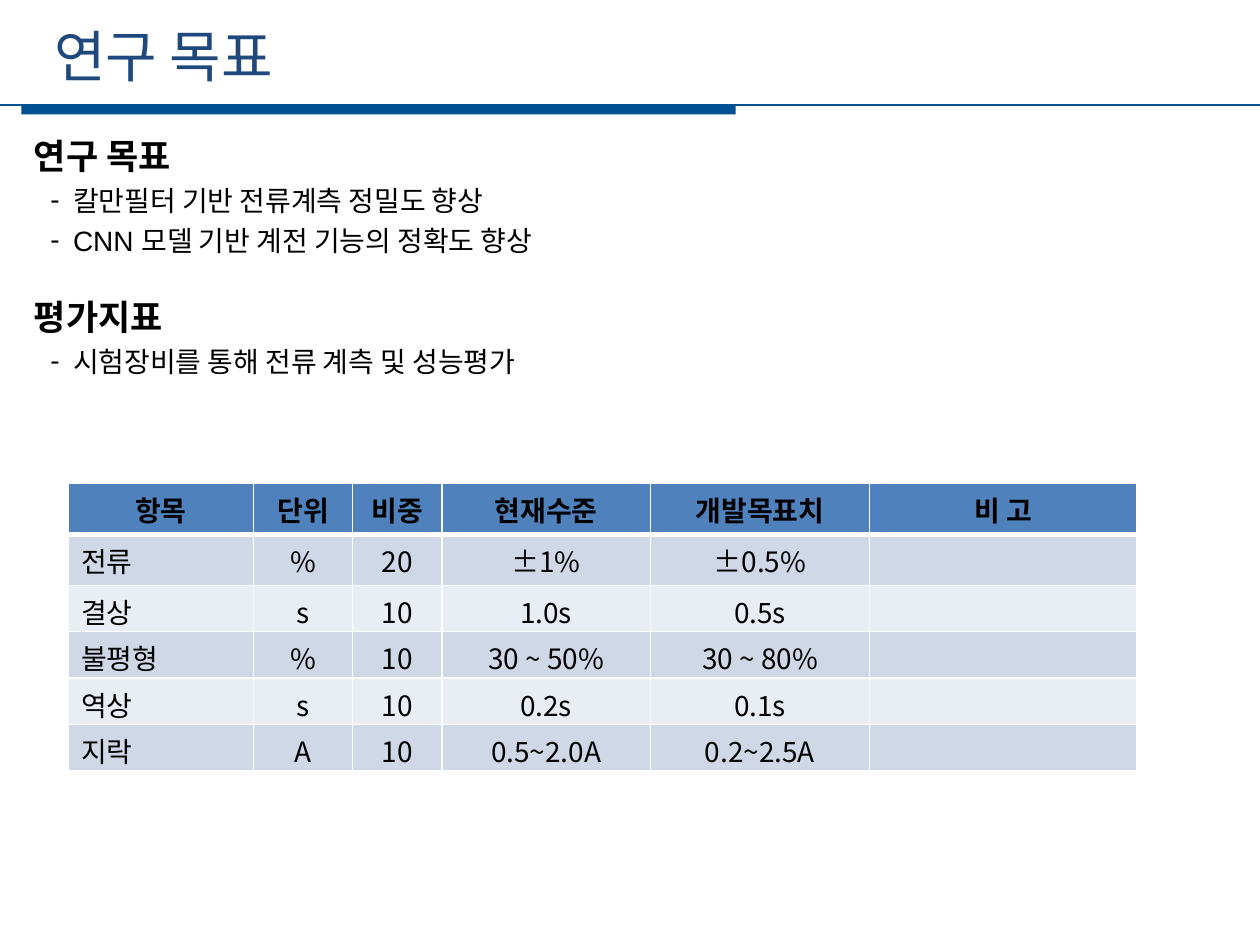
from dataclasses import dataclass

from lxml import etree
from pptx import Presentation
from pptx import util as u
from pptx.dml.color import RGBColor
from pptx.enum import shapes, text
from pptx.oxml import ns


@dataclass(frozen=True)
class Theme:
    title: str = "1F497D"
    rule: str = "005094"
    ink: str = "000000"
    header: str = "4F81BD"
    bands: tuple = ("D0D8E8", "E9EDF4")
    border: str = "FFFFFF"
    latin: str = "Arial"
    korean: str = "Noto Sans CJK KR"
    title_size: int = 32
    heading_size: int = 20
    text_size: int = 16
    leading: int = 23


class SlideBuilder:
    def __init__(self, slide, theme):
        self.slide = slide
        self.theme = theme

    def format_runs(self, p, size, color, font, bold=False):
        for r in p.runs:
            r.font.size = u.Pt(size)
            r.font.bold = bold
            r.font.name = font
            r.font.color.rgb = RGBColor.from_string(color)
            ea = etree.SubElement(r._r.get_or_add_rPr(), ns.qn("a:ea"))
            ea.set("typeface", self.theme.korean)

    def place(self, sp, left, top, width, height):
        sp.left, sp.top = u.Cm(left), u.Cm(top)
        sp.width, sp.height = u.Cm(width), u.Cm(height)
        tf = sp.text_frame
        tf.word_wrap = True
        tf.auto_size = text.MSO_AUTO_SIZE.NONE
        return tf

    def title(self, words, *box):
        tf = self.place(self.slide.shapes.title, *box)
        tf.margin_top = tf.margin_bottom = 0
        tf.vertical_anchor = text.MSO_ANCHOR.MIDDLE
        tf.text = words
        p = tf.paragraphs[0]
        p.alignment = text.PP_ALIGN.LEFT
        self.format_runs(p, self.theme.title_size, self.theme.title, self.theme.korean)

    def set_bullet(self, p, char=None, margin=0, hanging=0):
        pPr = p._p.get_or_add_pPr()
        pPr.set("marL", str(u.Cm(margin)))
        pPr.set("indent", str(-u.Cm(hanging)))
        if char:
            etree.SubElement(pPr, ns.qn("a:buFont")).set("typeface", self.theme.latin)
            etree.SubElement(pPr, ns.qn("a:buChar")).set("char", char)
        else:
            etree.SubElement(pPr, ns.qn("a:buNone"))

    def sections(self, content, *box):
        t = self.theme
        tf = self.place(self.slide.placeholders[1], *box)
        tf.vertical_anchor = text.MSO_ANCHOR.TOP
        lines = [(line, i == 0) for section in content for i, line in enumerate(section)]
        for n, (line, heading) in enumerate(lines):
            p = tf.add_paragraph() if n else tf.paragraphs[0]
            p.text = line
            p.line_spacing = u.Pt(t.leading)
            p.space_before = u.Pt(t.leading if heading and n else 0)
            if heading:
                self.set_bullet(p)
            else:
                self.set_bullet(p, "-", 0.79, 0.46)
            size = t.heading_size if heading else t.text_size
            self.format_runs(p, size, t.ink, t.latin, heading)

    def bar(self, left, top, width, height):
        sp = self.slide.shapes.add_shape(
            shapes.MSO_SHAPE.RECTANGLE, u.Cm(left), u.Cm(top), u.Cm(width), u.Cm(height))
        sp.shadow.inherit = False
        sp.fill.solid()
        sp.fill.fore_color.rgb = RGBColor.from_string(self.theme.rule)
        sp.line.fill.background()

    def rule(self, left, right, y):
        line = self.slide.shapes.add_connector(
            shapes.MSO_CONNECTOR.STRAIGHT, u.Cm(left), u.Cm(y), u.Cm(right), u.Cm(y))
        line.line.color.rgb = RGBColor.from_string(self.theme.rule)
        line.line.width = u.Pt(1.25)
        etree.SubElement(line._element.spPr, ns.qn("a:effectLst"))

    def set_borders(self, cell, **widths):
        tcPr = cell._tc.get_or_add_tcPr()
        for side in "LRTB":
            ln = etree.SubElement(tcPr, ns.qn(f"a:ln{side}"))
            ln.set("w", str(u.Pt(widths.get(side, 1))))
            fill = etree.SubElement(ln, ns.qn("a:solidFill"))
            etree.SubElement(fill, ns.qn("a:srgbClr")).set("val", self.theme.border)

    def table(self, rows, left, top, widths, heights):
        t = self.theme
        table = self.slide.shapes.add_table(
            len(rows), len(widths), u.Cm(left), u.Cm(top),
            u.Cm(sum(widths)), u.Cm(sum(heights))).table
        for column, width in zip(table.columns, widths):
            column.width = u.Cm(width)
        for i, (row, height) in enumerate(zip(rows, heights)):
            table.rows[i].height = u.Cm(height)
            for j, words in enumerate(row):
                cell = table.cell(i, j)
                cell.margin_top, cell.margin_bottom = u.Cm(0.12), 0
                self.set_borders(cell, T=3 if i == 1 else 1, B=3 if i == 0 else 1)
                cell.fill.solid()
                color = t.bands[(i - 1) % 2] if i else t.header
                cell.fill.fore_color.rgb = RGBColor.from_string(color)
                cell.text = words
                p = cell.text_frame.paragraphs[0]
                centred = i == 0 or j > 0
                p.alignment = text.PP_ALIGN.CENTER if centred else text.PP_ALIGN.LEFT
                self.format_runs(p, t.text_size, t.ink, t.korean, i == 0)


SECTIONS = [
    ["연구 목표", "칼만필터 기반 전류계측 정밀도 향상", "CNN 모델 기반 계전 기능의 정확도 향상"],
    ["평가지표", "시험장비를 통해 전류 계측 및 성능평가"],
]
INDICATORS = [
    ["항목", "단위", "비중", "현재수준", "개발목표치", "비 고"],
    ["전류", "%", "20", "±1%", "±0.5%", ""],
    ["결상", "s", "10", "1.0s", "0.5s", ""],
    ["불평형", "%", "10", "30 ~ 50%", "30 ~ 80%", ""],
    ["역상", "s", "10", "0.2s", "0.1s", ""],
    ["지락", "A", "10", "0.5~2.0A", "0.2~2.5A", ""],
]


def main():
    prs = Presentation()
    prs.slide_width, prs.slide_height = u.Cm(25.4), u.Cm(19.05)
    s = SlideBuilder(prs.slides.add_slide(prs.slide_layouts[1]), Theme())
    s.bar(0.43, 2.11, 14.4, 0.2)
    s.rule(0, 25.4, 2.11)
    s.title("연구 목표", 0.84, 0.3, 22.76, 1.63)
    s.sections(SECTIONS, 0.43, 2.62, 24.18, 5.18)
    s.table(INDICATORS, 1.38, 9.74, [3.73, 2, 1.8, 4.2, 4.42, 5.38],
            [1.03] * 2 + [0.93] * 4)
    prs.save("out.pptx")


if __name__ == "__main__":
    main()
